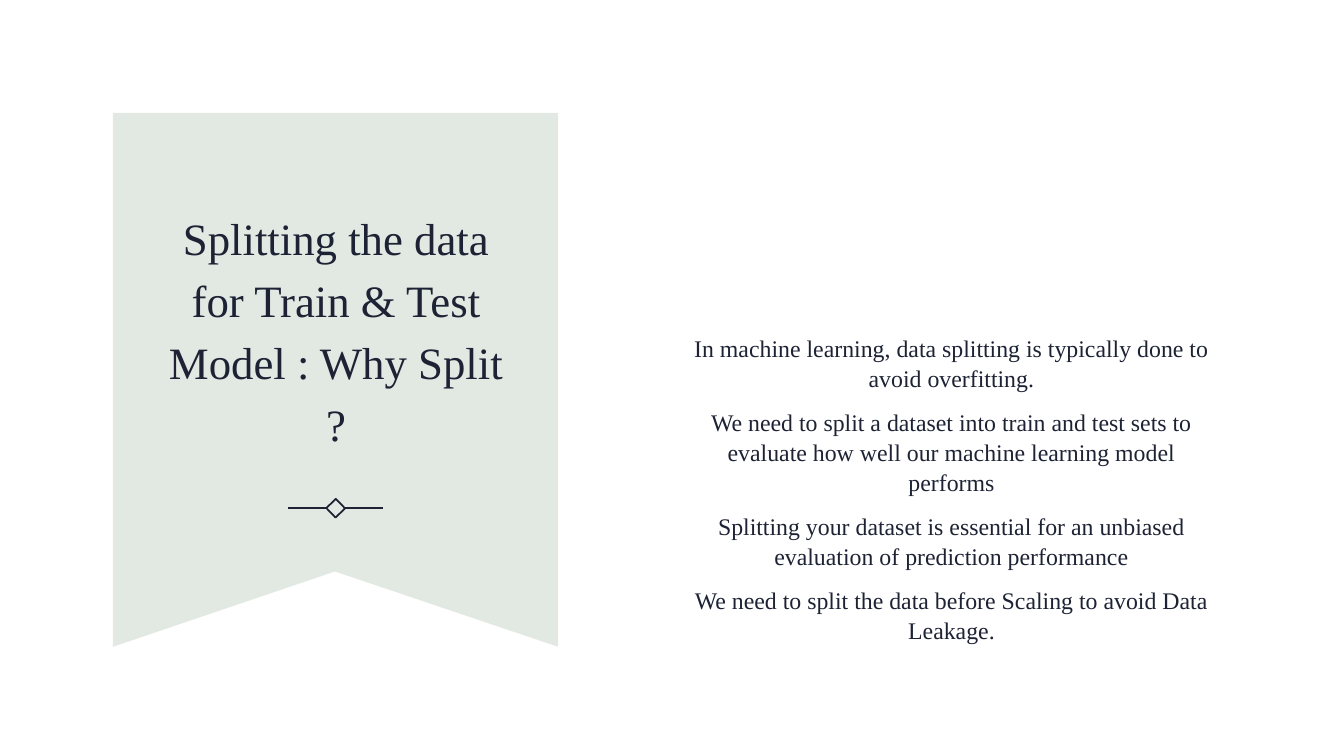
from pptx import Presentation
from pptx.dml.color import RGBColor
from pptx.enum.shapes import MSO_CONNECTOR, MSO_SHAPE
from pptx.enum.text import MSO_ANCHOR, MSO_AUTO_SIZE, PP_ALIGN
from pptx.oxml.ns import qn
from pptx.util import Pt

# Content
HEADING = "Splitting the data for Train & Test Model : Why Split ?"
REASONS = [
    "In machine learning, data splitting is typically done to avoid overfitting.",
    "We need to split a dataset into train and test sets to evaluate how well our machine learning model performs",
    "Splitting your dataset is essential for an unbiased evaluation of prediction performance",
    "We need to split the data before Scaling to avoid Data Leakage.",
]
FONT = "Times New Roman"
INK, SAGE, WHITE = "1D2334", "E2E8E2", "FFFFFF"

# Layout, in points
BANNER_LEFT, BANNER_TOP, BANNER_RIGHT, BANNER_BOTTOM = 80.7, 80.7, 398.7, 462
NOTCH_X, NOTCH_Y = 239.3, 408.2
HEADING_BOX = (112.4, 131.2, 255.4, 204.2)
REASONS_BOX = (481.7, 234, 396, 231)
ORNAMENT_X, ORNAMENT_Y = 239.8, 363
DIAMOND_SIDE, ARM_START, ARM_END = 9.5, 6.5, 34


def colour(hex_value):
    return RGBColor.from_string(hex_value)


def place(shape, box):
    shape.left, shape.top, shape.width, shape.height = map(Pt, box)


def style(paragraph, size, spacing):
    paragraph.alignment = PP_ALIGN.CENTER
    paragraph.line_spacing = spacing
    paragraph.font.name = FONT
    paragraph.font.size = Pt(size)
    paragraph.font.color.rgb = colour(INK)


def outline(shape):
    shape.line.color.rgb = colour(INK)
    shape.line.width = Pt(1.25)


presentation = Presentation()
presentation.slide_width, presentation.slide_height = Pt(960), Pt(540)
slide = presentation.slides.add_slide(presentation.slide_layouts[5])
slide.background.fill.solid()
slide.background.fill.fore_color.rgb = colour(WHITE)

# Ribbon banner, moved behind the heading
builder = slide.shapes.build_freeform(Pt(BANNER_LEFT), Pt(BANNER_TOP))
corners = [(BANNER_RIGHT, BANNER_TOP), (BANNER_RIGHT, BANNER_BOTTOM),
           (NOTCH_X, NOTCH_Y), (BANNER_LEFT, BANNER_BOTTOM)]
builder.add_line_segments([(Pt(x), Pt(y)) for x, y in corners], close=True)
banner = builder.convert_to_shape()
banner.shadow.inherit = False
banner.fill.solid()
banner.fill.fore_color.rgb = colour(SAGE)
banner.line.fill.background()
heading = slide.shapes.title
heading._element.addprevious(banner._element)

# Heading
place(heading, HEADING_BOX)
heading.text_frame.text = HEADING
heading.text_frame.word_wrap = True
heading.text_frame.auto_size = MSO_AUTO_SIZE.NONE
heading.text_frame.vertical_anchor = MSO_ANCHOR.MIDDLE
style(heading.text_frame.paragraphs[0], 32, 1.15)

# Reasons
reasons = slide.shapes.add_textbox(*map(Pt, REASONS_BOX)).text_frame
reasons.word_wrap = True
for index, reason in enumerate(REASONS):
    paragraph = reasons.add_paragraph() if index else reasons.paragraphs[0]
    paragraph.text = reason
    style(paragraph, 17, 1.05)
    if index:
        paragraph.space_before = Pt(10)

# Ornament: a diamond between two arms
diamond = slide.shapes.add_shape(
    MSO_SHAPE.RECTANGLE, Pt(ORNAMENT_X - DIAMOND_SIDE / 2),
    Pt(ORNAMENT_Y - DIAMOND_SIDE / 2), Pt(DIAMOND_SIDE), Pt(DIAMOND_SIDE))
diamond.rotation = 316
diamond.shadow.inherit = False
diamond.fill.background()
outline(diamond)
for side in (1, -1):
    arm = slide.shapes.add_connector(
        MSO_CONNECTOR.STRAIGHT, Pt(ORNAMENT_X + side * ARM_START), Pt(ORNAMENT_Y),
        Pt(ORNAMENT_X + side * ARM_END), Pt(ORNAMENT_Y))
    outline(arm)
    properties = arm._element.spPr
    properties.append(properties.makeelement(qn("a:effectLst"), {}))

presentation.save("out.pptx")
